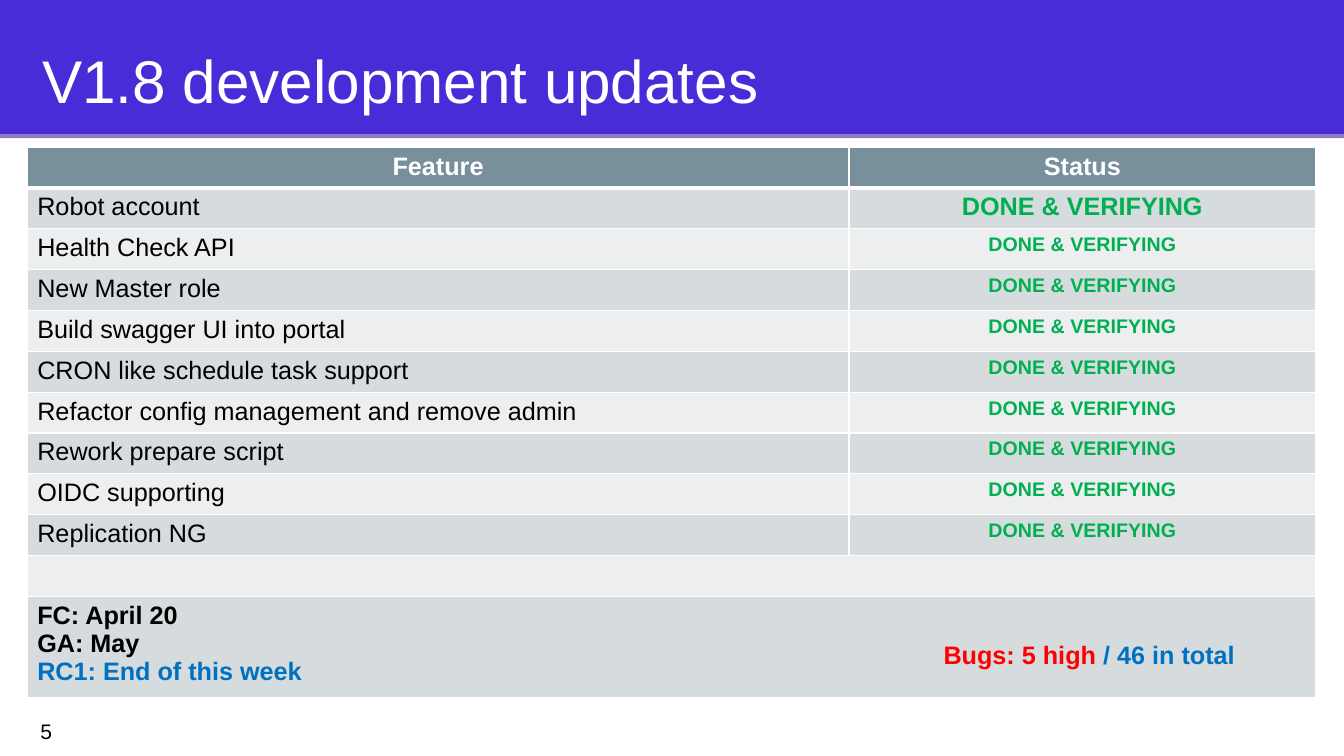
import pptx
import pptx.dml.color
import pptx.enum.shapes
import pptx.enum.text
import pptx.oxml
import pptx.oxml.ns
import pptx.util
from pptx.util import Inches

COLORS = {
    "white": "FFFFFF", "black": "000000", "banner": "4A2BD8", "rule": "8E7CC3",
    "header": "78909C", "dark_band": "D6DBDE", "light_band": "ECEEEF",
    "green": "00B050", "blue": "0070C0", "red": "FF0000",
}
ALIGN = pptx.enum.text.PP_ALIGN
ANCHOR = pptx.enum.text.MSO_ANCHOR
STATUS = "DONE & VERIFYING"
FEATURES = [
    "Robot account", "Health Check API", "New Master role",
    "Build swagger UI into portal", "CRON like schedule task support",
    "Refactor config management and remove admin", "Rework prepare script",
    "OIDC supporting", "Replication NG",
]


def add_text(paragraph, text, size, color, bold=False):
    run = paragraph.add_run()
    run.text = text
    formats = {"name": "Arial", "size": pptx.util.Pt(size), "bold": bold}
    for name, value in formats.items():
        setattr(run.font, name, value)
    run.font.color.rgb = pptx.dml.color.RGBColor.from_string(COLORS[color])


def style_cell(cell, fill, top_width, bottom_width):
    """Give a cell white borders, widths in points, and a solid fill."""
    properties = cell._tc.get_or_add_tcPr()
    for side, width in (("L", 1), ("R", 1), ("T", top_width), ("B", bottom_width)):
        properties.append(pptx.oxml.parse_xml(
            f'<a:ln{side} {pptx.oxml.ns.nsdecls("a")} w="{pptx.util.Pt(width)}"><a:solidFill>'
            f'<a:srgbClr val="{COLORS["white"]}"/></a:solidFill></a:ln{side}>'))
    cell.fill.solid()
    cell.fill.fore_color.rgb = pptx.dml.color.RGBColor.from_string(COLORS[fill])


presentation = pptx.Presentation()
presentation.slide_width = Inches(13.33)
presentation.slide_height = Inches(7.5)
slide = presentation.slides.add_slide(presentation.slide_layouts[6])

# Banner and the thin rule below it
for top, height, color in ((0, 1.33, "banner"), (1.33, 0.04, "rule")):
    band = slide.shapes.add_shape(
        pptx.enum.shapes.MSO_SHAPE.RECTANGLE, 0, Inches(top), Inches(13.33), Inches(height))
    band.shadow.inherit = False
    band.fill.solid()
    band.fill.fore_color.rgb = pptx.dml.color.RGBColor.from_string(COLORS[color])
    band.line.fill.background()

# Title and slide number
for text, place, size, color, anchor, spacing in (
    ("V1.8 development updates", (0.29, 0.23, 12.42, 0.83), 43, "white", ANCHOR.TOP, 1.1),
    ("5", (0.27, 6.97, 0.8, 0.57), 15, "black", ANCHOR.MIDDLE, 1.0),
):
    frame = slide.shapes.add_textbox(*map(Inches, place)).text_frame
    formats = {"word_wrap": True, "vertical_anchor": anchor}
    for side in ("left", "top", "right", "bottom"):
        formats[f"margin_{side}"] = Inches(0.13)
    for name, value in formats.items():
        setattr(frame, name, value)
    frame.paragraphs[0].line_spacing = spacing
    add_text(frame.paragraphs[0], text, size, color)

# Feature table: header, one row per feature, an empty row and the milestones
row_count = len(FEATURES) + 3
table = slide.shapes.add_table(
    row_count, 2, Inches(0.27), Inches(1.46), Inches(12.78), Inches(5.39)).table
for column, width in zip(table.columns, (8.15, 4.63)):
    column.width = Inches(width)
for index, row in enumerate(table.rows):
    row.height = Inches(4.46) // (row_count - 1)
    fill = "header" if index == 0 else "dark_band" if index % 2 else "light_band"
    for cell in row.cells:
        style_cell(cell, fill, 3 if index == 1 else 1, 3 if index == 0 else 1)
table.rows[row_count - 1].height = Inches(0.93)
for index in (row_count - 2, row_count - 1):
    table.cell(index, 0).merge(table.cell(index, 1))

for column, heading in enumerate(("Feature", "Status")):
    paragraph = table.cell(0, column).text_frame.paragraphs[0]
    paragraph.alignment = ALIGN.CENTER
    add_text(paragraph, heading, 18, "white", True)
for index, feature in enumerate(FEATURES, 1):
    add_text(table.cell(index, 0).text_frame.paragraphs[0], feature, 18, "black")
    paragraph = table.cell(index, 1).text_frame.paragraphs[0]
    paragraph.alignment = ALIGN.CENTER
    add_text(paragraph, STATUS, 18 if index == 1 else 14, "green", True)

milestones = table.cell(row_count - 1, 0).text_frame
for index, (text, color) in enumerate((
    ("FC: April 20", "black"), ("GA: May", "black"), ("RC1: End of this week", "blue"),
)):
    paragraph = milestones.add_paragraph() if index else milestones.paragraphs[0]
    add_text(paragraph, text, 18, color, True)

# Bug count over the last row
bugs = slide.shapes.add_textbox(Inches(9.26), Inches(6.29), Inches(3.12), Inches(0.4)).text_frame
bugs.word_wrap = False
bugs.auto_size = pptx.enum.text.MSO_AUTO_SIZE.SHAPE_TO_FIT_TEXT
add_text(bugs.paragraphs[0], "Bugs: 5 high ", 18, "red", True)
add_text(bugs.paragraphs[0], "/ 46 in total", 18, "blue", True)

presentation.save("out.pptx")
